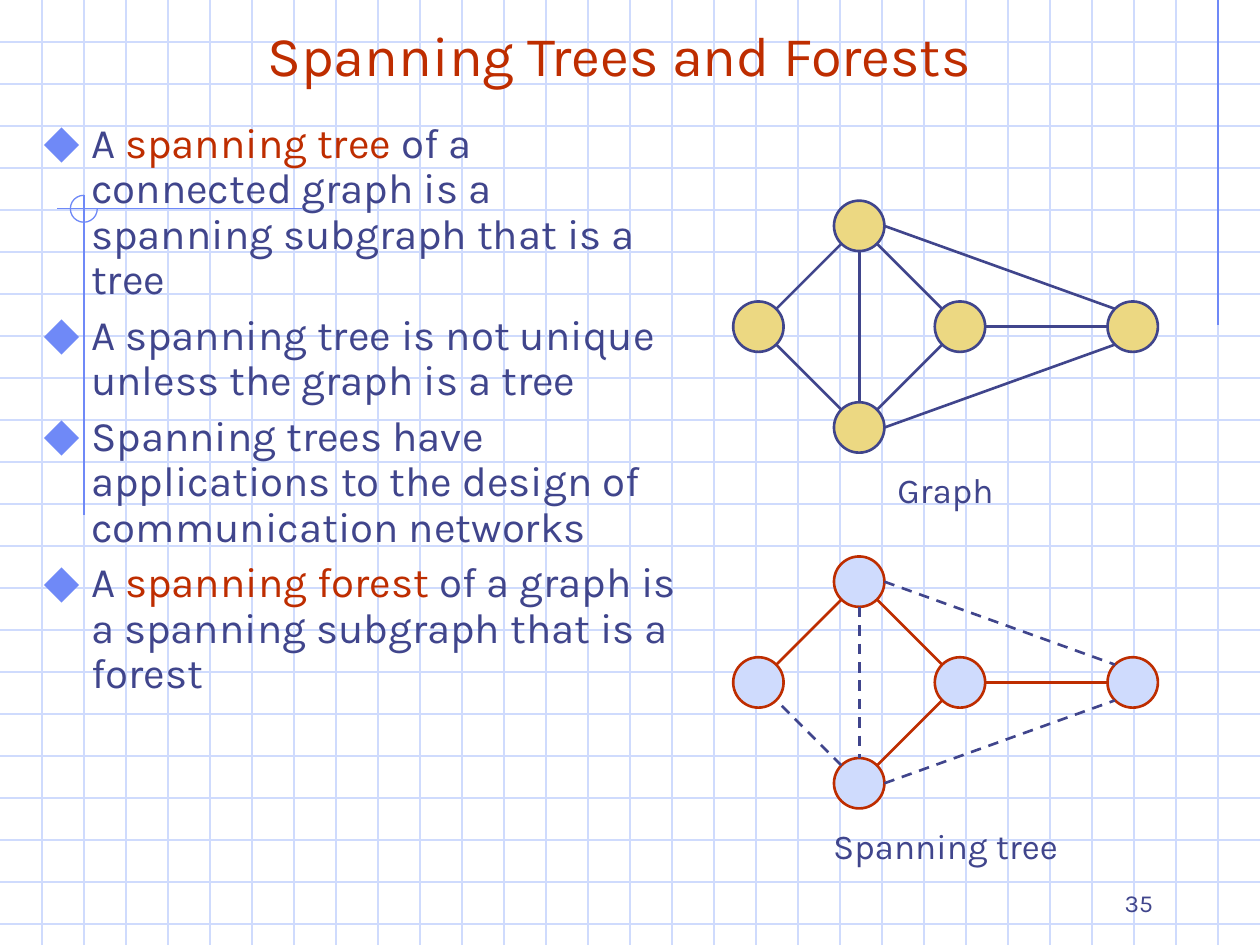
"""Build the slide on spanning trees and forests."""
from dataclasses import dataclass
from typing import Any, NamedTuple

import lxml.etree
import pptx
import pptx.dml.color
import pptx.enum.dml
import pptx.enum.shapes
import pptx.enum.text
import pptx.oxml.ns
import pptx.util

Pt = pptx.util.Pt
Align = pptx.enum.text.PP_ALIGN
Anchor = pptx.enum.text.MSO_ANCHOR
Shapes = pptx.enum.shapes.MSO_SHAPE


@dataclass(frozen=True)
class Theme:
    font: str = "Karla"
    ink: str = "40458C"
    accent: str = "BE2D00"
    grid: str = "CFDBFD"
    guide: str = "6F89F7"
    sand: str = "ECD882"
    title_size: float = 32
    body_size: float = 24
    caption_size: float = 20
    number_size: float = 14
    thin: float = 0.75
    thick: float = 1.5


class Box(NamedTuple):
    left: float
    top: float
    width: float
    height: float


class Point(NamedTuple):
    x: float
    y: float


class Edge(NamedTuple):
    start: str
    start_side: Point
    end: str
    end_side: Point


@dataclass(frozen=True)
class Diagram:
    top: float
    fill: str
    outline: str
    dashed: frozenset[str]
    caption: str
    caption_box: Box


THEME = Theme()
WIDTH, HEIGHT, GRID_STEP = 720, 540, 24
RADIUS = 14.4
DIAGONAL = 0.71
NODES = {
    "top": Point(491, 0),
    "left": Point(433.4, 57.6),
    "middle": Point(548.6, 57.6),
    "right": Point(647.3, 57.6),
    "bottom": Point(491, 115.2),
}
NORTH, SOUTH, EAST, WEST = Point(0, -1), Point(0, 1), Point(1, 0), Point(-1, 0)
NORTH_WEST, NORTH_EAST = Point(-DIAGONAL, -DIAGONAL), Point(DIAGONAL, -DIAGONAL)
SOUTH_WEST, SOUTH_EAST = Point(-DIAGONAL, DIAGONAL), Point(DIAGONAL, DIAGONAL)
EDGES = {
    "top-left": Edge("top", SOUTH_WEST, "left", NORTH_EAST),
    "bottom-left": Edge("bottom", NORTH_WEST, "left", SOUTH_EAST),
    "bottom-middle": Edge("bottom", NORTH_EAST, "middle", SOUTH_WEST),
    "top-middle": Edge("top", SOUTH_EAST, "middle", NORTH_WEST),
    "top-bottom": Edge("top", SOUTH, "bottom", NORTH),
    "middle-right": Edge("middle", EAST, "right", WEST),
    "bottom-right": Edge("bottom", EAST, "right", SOUTH_WEST),
    "top-right": Edge("top", EAST, "right", NORTH_WEST),
}
DIAGRAMS = (
    Diagram(129.1, THEME.sand, THEME.ink, frozenset(), "Graph",
            Box(428, 264.2, 224.6, 31.7)),
    Diagram(332.4, THEME.grid, THEME.accent,
            frozenset({"bottom-left", "top-bottom", "bottom-right", "top-right"}),
            "Spanning tree", Box(396.7, 467.5, 287.3, 31.7)),
)
BULLETS = (
    ("A ", "*spanning tree",
     " of a connected graph is a spanning subgraph that is a tree"),
    ("A spanning tree is not unique unless the graph is a tree",),
    ("Spanning trees have applications to the design of communication networks",),
    ("A ", "*spanning forest", " of a graph is a spanning subgraph that is a forest"),
)


def rgb(color: str) -> pptx.dml.color.RGBColor:
    return pptx.dml.color.RGBColor.from_string(color)


def add_line(slide: Any, start: Point, end: Point, color: str,
             width: float = THEME.thin, dashed: bool = False) -> None:
    line = slide.shapes.add_connector(
        pptx.enum.shapes.MSO_CONNECTOR.STRAIGHT, *(Pt(v) for v in (*start, *end)))
    line.line.color.rgb = rgb(color)
    line.line.width = Pt(width)
    if dashed:
        line.line.dash_style = pptx.enum.dml.MSO_LINE.DASH
    properties = line._element.spPr
    lxml.etree.SubElement(properties, pptx.oxml.ns.qn("a:effectLst"))


def add_outline(slide: Any, kind: Any, box: Box, color: str, width: float,
                fill: str | None = None) -> Any:
    shape = slide.shapes.add_shape(kind, *map(Pt, box))
    shape.shadow.inherit = False
    if fill:
        shape.fill.solid()
        shape.fill.fore_color.rgb = rgb(fill)
    else:
        shape.fill.background()
    shape.line.color.rgb = rgb(color)
    shape.line.width = Pt(width)
    return shape


def add_bullet(paragraph: Any) -> None:
    properties = paragraph._p.get_or_add_pPr()
    properties.set("marL", str(Pt(27)))
    properties.set("indent", str(-Pt(27)))
    qualify = pptx.oxml.ns.qn
    color = lxml.etree.SubElement(properties, qualify("a:buClr"))
    lxml.etree.SubElement(color, qualify("a:srgbClr"), val=THEME.guide)
    lxml.etree.SubElement(properties, qualify("a:buSzPct"), val="110000")
    lxml.etree.SubElement(properties, qualify("a:buFont"), typeface=THEME.font)
    lxml.etree.SubElement(properties, qualify("a:buChar"), char="◆")


def add_text(slide: Any, box: Box, paragraphs: tuple[tuple[str, ...], ...], *,
             size: float, color: str = THEME.ink, align: Any = Align.LEFT,
             anchor: Any = Anchor.TOP, bulleted: bool = False) -> None:
    frame = slide.shapes.add_textbox(*map(Pt, box)).text_frame
    frame.word_wrap = True
    frame.vertical_anchor = anchor
    for index, pieces in enumerate(paragraphs):
        paragraph = frame.add_paragraph() if index else frame.paragraphs[0]
        paragraph.alignment = align
        if bulleted:
            add_bullet(paragraph)
            paragraph.line_spacing = 0.9
            paragraph.space_before = Pt(6 if index else 0)
        for piece in pieces:
            run = paragraph.add_run()
            run.text = piece.removeprefix("*")
            run.font.name = THEME.font
            run.font.size = Pt(size)
            run.font.color.rgb = rgb(THEME.accent if piece.startswith("*") else color)


def draw_background(slide: Any) -> None:
    for y in range(GRID_STEP, HEIGHT, GRID_STEP):
        add_line(slide, Point(0, y), Point(WIDTH, y), THEME.grid)
    for x in range(GRID_STEP, WIDTH, GRID_STEP):
        add_line(slide, Point(x, 0), Point(x, HEIGHT), THEME.grid)
    add_line(slide, Point(696, 0), Point(696, 186), THEME.guide)
    add_line(slide, Point(172.8, 119.3), Point(32.4, 119.3), THEME.guide)
    add_line(slide, Point(48, 111.6), Point(48, 294.5), THEME.guide)
    arc = add_outline(slide, Shapes.ARC, Box(40.2, 111.6, 15.4, 15.4),
                      THEME.guide, THEME.thin)
    arc.adjustments[0], arc.adjustments[1] = 0, 162


def draw_diagram(slide: Any, diagram: Diagram) -> None:
    def boundary(node: str, side: Point) -> Point:
        center = NODES[node]
        return Point(center.x + RADIUS * side.x,
                     diagram.top + center.y + RADIUS * side.y)

    for center in NODES.values():
        box = Box(center.x - RADIUS, diagram.top + center.y - RADIUS,
                  2 * RADIUS, 2 * RADIUS)
        add_outline(slide, Shapes.OVAL, box, diagram.outline, THEME.thick, diagram.fill)
    for name, edge in EDGES.items():
        dashed = name in diagram.dashed
        add_line(slide, boundary(edge.start, edge.start_side),
                 boundary(edge.end, edge.end_side),
                 THEME.ink if dashed else diagram.outline, THEME.thick, dashed)
    add_text(slide, diagram.caption_box, ((diagram.caption,),),
             size=THEME.caption_size, align=Align.CENTER)


def main() -> None:
    presentation = pptx.Presentation()
    presentation.slide_width, presentation.slide_height = Pt(WIDTH), Pt(HEIGHT)
    slide = presentation.slides.add_slide(presentation.slide_layouts[6])
    draw_background(slide)
    add_text(slide, Box(48, 23.5, 612, 30), (("Spanning Trees and Forests",),),
             size=THEME.title_size, color=THEME.accent, align=Align.CENTER,
             anchor=Anchor.BOTTOM)
    add_text(slide, Box(18, 66.2, 378, 408), BULLETS, size=THEME.body_size, bulleted=True)
    for diagram in DIAGRAMS:
        draw_diagram(slide, diagram)
    add_text(slide, Box(516, 492, 150, 36), (("35",),), size=THEME.number_size,
             align=Align.RIGHT, anchor=Anchor.BOTTOM)
    presentation.save("out.pptx")


if __name__ == "__main__":
    main()
